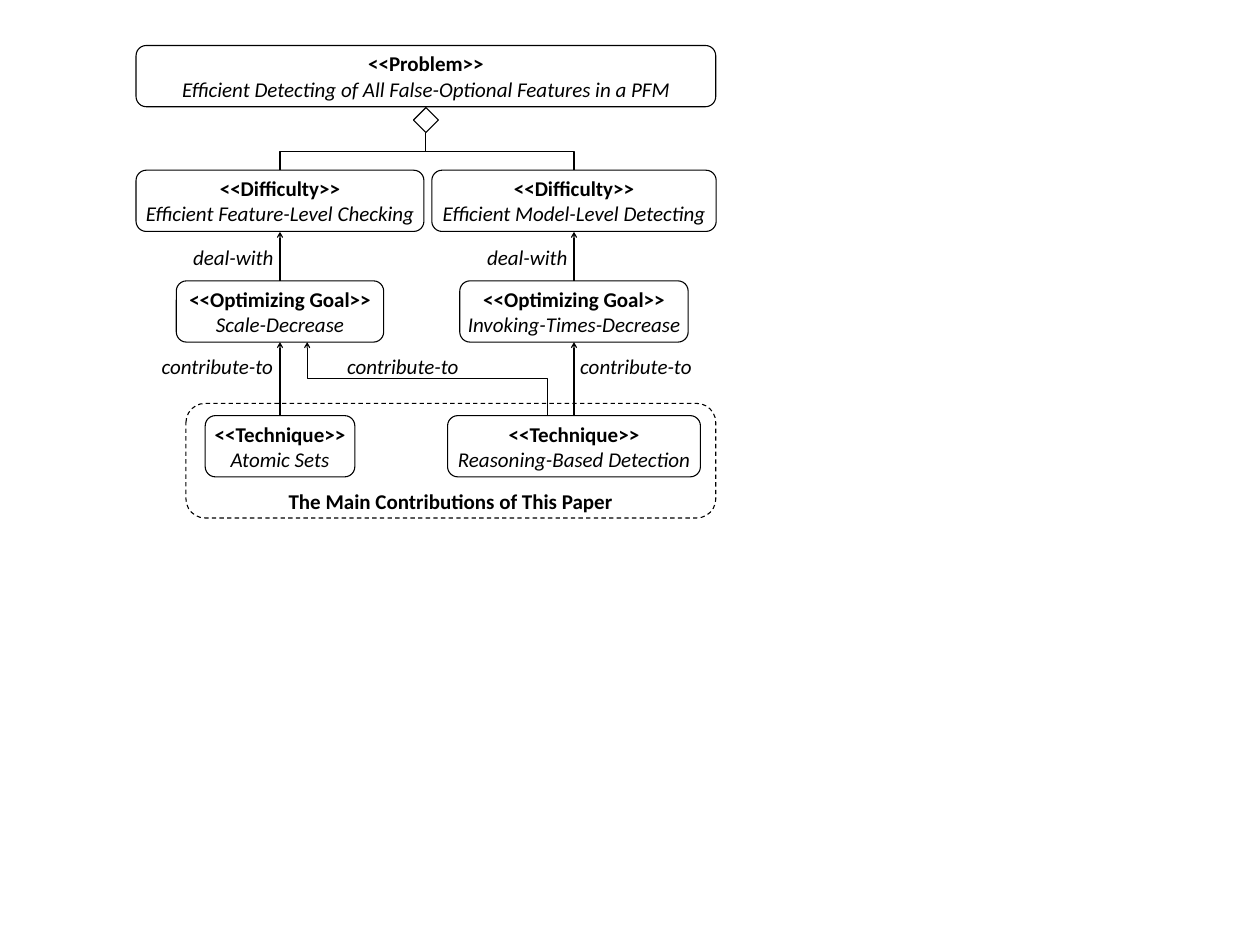
from lxml import etree
from pptx import Presentation
from pptx.dml.color import RGBColor
from pptx.enum import dml, shapes, text
from pptx.oxml import ns
from pptx.util import Pt

BLACK = RGBColor(0, 0, 0)
WHITE = RGBColor(255, 255, 255)
BOX_H = 70
LABEL_H = 36


def style(run, bold=False, italic=False):
    font = run.font
    font.name, font.size = "Calibri", Pt(24)
    font.bold, font.italic = bold, italic
    font.color.rgb = BLACK


def shape(slide, kind, x, y, w, h, fill=None):
    item = slide.shapes.add_shape(kind, Pt(x), Pt(y), Pt(w), Pt(h))
    item.shadow.inherit = False
    if fill is None:
        item.fill.background()
    else:
        item.fill.solid()
        item.fill.fore_color.rgb = fill
    item.line.color.rgb = BLACK
    item.line.width = Pt(1.25)
    return item


def node(slide, mid, y, w, kind, name):
    """Place a rounded box, centred on mid, with its kind above its name."""
    box = shape(slide, shapes.MSO_SHAPE.ROUNDED_RECTANGLE,
                mid - w / 2, y, w, BOX_H, WHITE)
    frame = box.text_frame
    frame.margin_left = frame.margin_right = Pt(5.67)
    frame.margin_top = frame.margin_bottom = Pt(2.83)
    frame.vertical_anchor = text.MSO_ANCHOR.MIDDLE
    frame.word_wrap = False
    frame.text = f"<<{kind}>>\n{name}"
    for i, para in enumerate(frame.paragraphs):
        para.alignment = text.PP_ALIGN.CENTER
        style(para.runs[0], bold=i == 0, italic=i == 1)


def label(slide, x, y, w, words, **look):
    box = slide.shapes.add_textbox(Pt(x), Pt(y), Pt(w), Pt(LABEL_H))
    frame = box.text_frame
    frame.word_wrap = False
    frame.text = words
    style(frame.paragraphs[0].runs[0], **look)


def link(slide, kind, x1, y1, x2, y2, arrow):
    line = slide.shapes.add_connector(kind, Pt(x1), Pt(y1), Pt(x2), Pt(y2))
    line.line.color.rgb = BLACK
    line.line.width = Pt(1.25)
    props = line._element.spPr
    if arrow:
        head = etree.SubElement(line.line._get_or_add_ln(), ns.qn("a:headEnd"))
        head.set("type", "arrow")
    etree.SubElement(props, ns.qn("a:effectLst"))
    return props.xfrm


def rise(slide, x, top, low):
    """Draw an upright arrow that points up."""
    link(slide, shapes.MSO_CONNECTOR.STRAIGHT, x, top, x, low, True)


def bend(slide, x1, y1, x2, y2, arrow=False):
    """Draw an elbow that leaves (x1, y1) downwards, by turning a level one."""
    mx, my = (x1 + x2) / 2, (y1 + y2) / 2
    dx, dy = abs(x2 - x1) / 2, (y2 - y1) / 2
    frame = link(slide, shapes.MSO_CONNECTOR.ELBOW,
                 mx - dy, my - dx, mx + dy, my + dx, arrow)
    frame.set("rot", str((90 if x2 < x1 else 270) * 60000))
    if x2 > x1:
        frame.set("flipH", "1")


def problem(slide, x, y, w, cols):
    """Place the problem, and the two difficulties it is made of."""
    mid, gem, low = x + w / 2, 28.5, y + 142.5
    node(slide, mid, y, w, "Problem",
         "Efficient Detecting of All False-Optional Features in a PFM")
    top = y + BOX_H + 1
    shape(slide, shapes.MSO_SHAPE.DIAMOND, mid - gem / 2, top, gem, gem)
    parts = ((329, "Efficient Feature-Level Checking"),
             (325, "Efficient Model-Level Detecting"))
    for col, (wide, name) in zip(cols, parts):
        node(slide, col, low, wide, "Difficulty", name)
        bend(slide, mid, top + gem, col, low)


def goals(slide, y, cols):
    """Place the goals, with arrows up to the difficulties."""
    parts = ((237, "Scale-Decrease"), (261, "Invoking-Times-Decrease"))
    for col, (wide, name) in zip(cols, parts):
        node(slide, col, y, wide, "Optimizing Goal", name)
        rise(slide, col, y - 56, y)
        label(slide, col - 106.5, y - 45, 106.5, "deal-with", italic=True)


def techs(slide, x, y, w, h, cols):
    """Place the techniques in a dashed frame, with arrows up to the goals."""
    left, right = cols
    low = y + 14
    top = low - 84
    parts = ((171, "Atomic Sets"), (289, "Reasoning-Based Detection"))
    for col, (wide, name) in zip(cols, parts):
        node(slide, col, low, wide, "Technique", name)
        rise(slide, col, top, low)
    bend(slide, left + 31, top, right - 30, low, arrow=True)
    for at in (left - 142.5, left + 69.5, right):
        label(slide, at, top + 9, 142.5, "contribute-to", italic=True)
    frame = shape(slide, shapes.MSO_SHAPE.ROUNDED_RECTANGLE, x, y, w, h)
    frame.line.dash_style = dml.MSO_LINE.DASH
    wide = 385
    label(slide, x + (w - wide) / 2, y + h - 37.5, wide,
          "The Main Contributions of This Paper", bold=True)


def main():
    deck = Presentation()
    deck.slide_width, deck.slide_height = Pt(1440), Pt(1080)
    slide = deck.slides.add_slide(deck.slide_layouts[6])
    cols = (320, 656)
    problem(slide, 155.5, 52, 662.5, cols)
    goals(slide, 321, cols)
    techs(slide, 212.5, 461, 605.5, 131, cols)
    deck.save("out.pptx")


if __name__ == "__main__":
    main()
